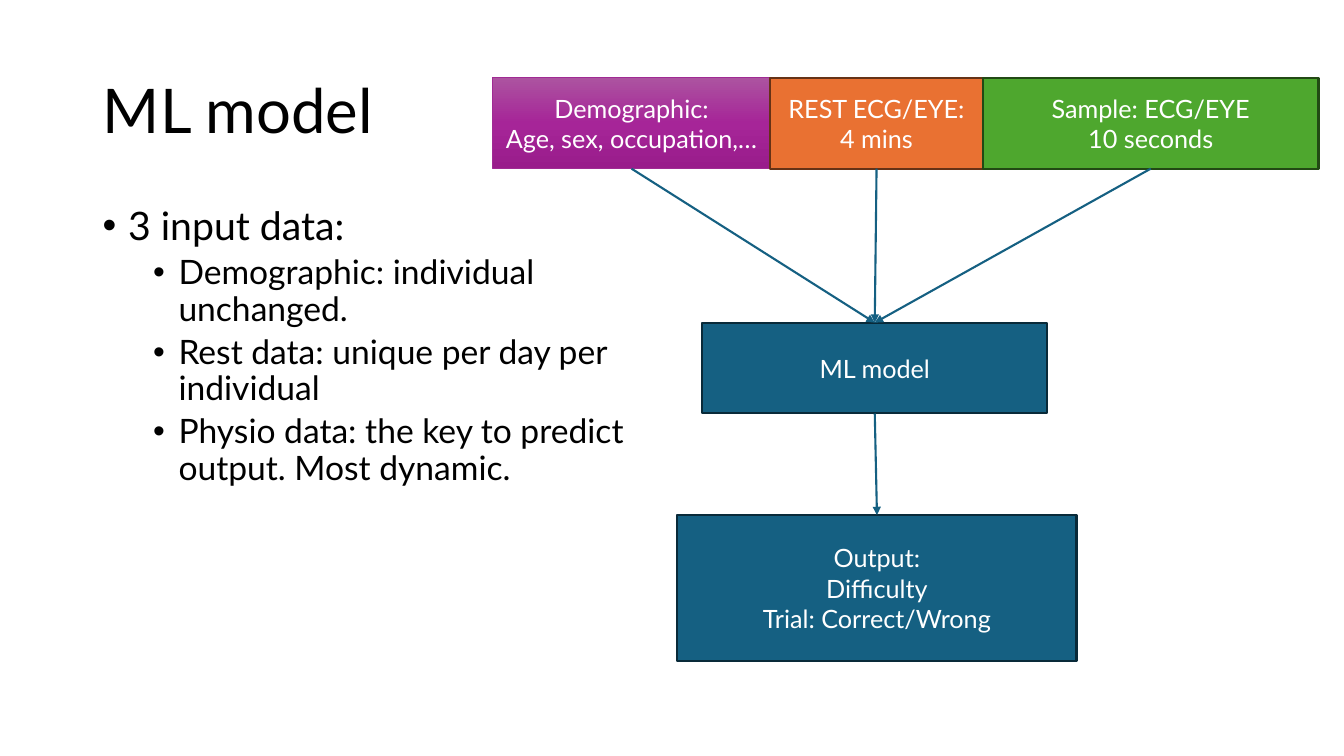
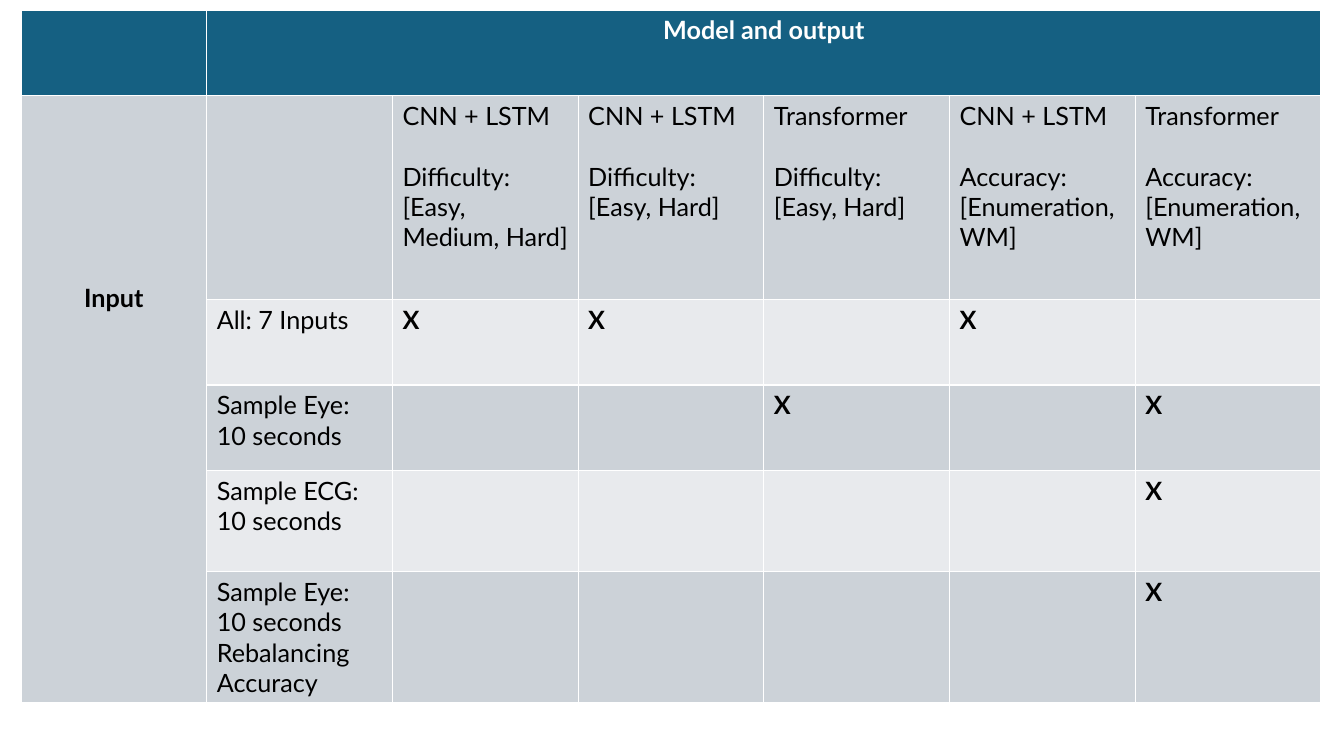
from copy import deepcopy

from lxml import etree
from pptx import Presentation
from pptx.dml.color import RGBColor
from pptx.enum import shapes, text
from pptx.oxml.ns import qn
from pptx.util import Cm, Pt

FONT = "Lato"
BLACK, WHITE = "000000", "FFFFFF"
BLUE, NAVY = "156082", "092A39"
BAND_DARK, BAND_LIGHT = "CCD2D8", "E8EAED"
LEFT, CENTER = text.PP_ALIGN.LEFT, text.PP_ALIGN.CENTER


def rgb(value):
    return RGBColor.from_string(value)


def write(frame, content, size, color, align=LEFT, bold=False):
    frame.word_wrap = True
    frame.text = content
    for para in frame.paragraphs:
        para.alignment = align
        para.font.name = FONT
        para.font.size = Pt(size)
        para.font.bold = bold
        para.font.color.rgb = rgb(color)


deck = Presentation()
deck.slide_width, deck.slide_height = Cm(33.87), Cm(19.05)

page = deck.slides.add_slide(deck.slide_layouts[5])
title = page.shapes.title
title.left, title.top, title.width, title.height = Cm(2.34), Cm(1.02), Cm(29.21), Cm(3.68)
write(title.text_frame, "ML model", 44, BLACK)
title.text_frame.vertical_anchor = text.MSO_ANCHOR.MIDDLE
title.text_frame.paragraphs[0].line_spacing = 0.9

notes = page.shapes.add_textbox(Cm(2.34), Cm(5.08), Cm(13.84), Cm(12.19))
bullets = [
    (0, "3 input data:"),
    (1, "Demographic: individual unchanged."),
    (1, "Rest data: unique per day per individual"),
    (1, "Physio data: the key to predict output. Most dynamic."),
]
write(notes.text_frame, "\n".join(line for level, line in bullets), 24, BLACK)
for para, (level, line) in zip(notes.text_frame.paragraphs, bullets):
    para.level = level
    para.font.size = Pt((28, 24)[level])
    para.line_spacing = 0.9
    para.space_before = Pt((10, 5)[level])
    props = para._p.get_or_add_pPr()
    props.set("marL", str(Cm((0.64, 1.91)[level])))
    props.set("indent", str(-Cm(0.64)))
    font_props = props.find(qn("a:defRPr"))
    for tag, name, value in (("a:buFont", "typeface", "Arial"), ("a:buChar", "char", "•")):
        bullet = etree.Element(qn(tag))
        bullet.set(name, value)
        font_props.addprevious(bullet)

top, height = 1.96, 2.29
box_specs = [
    ("Demographic:\nAge, sex, occupation,…", 12.42, top, 6.99, height, "A62598", "A02B93", 1),
    ("REST ECG/EYE:\n4 mins", 19.41, top, 5.36, height, "E97132", "663216", 1.5),
    ("Sample: ECG/EYE\n10 seconds", 24.77, top, 8.46, height, "4EA72E", "224914", 1.5),
    ("ML model", 17.7, 8.13, 8.69, height, BLUE, NAVY, 1.5),
    ("Output:\nDifficulty\nTrial: Correct/Wrong", 17.07, 12.98, 10.06, 3.68, BLUE, NAVY, 1.5),
]
boxes = []
for content, x, y, width, tall, fill, line, weight in box_specs:
    box = page.shapes.add_shape(
        shapes.MSO_SHAPE.RECTANGLE, Cm(x), Cm(y), Cm(width), Cm(tall))
    box.shadow.inherit = False
    box.fill.solid()
    box.fill.fore_color.rgb = rgb(fill)
    box.line.color.rgb = rgb(line)
    box.line.width = Pt(weight)
    write(box.text_frame, content, 18, WHITE, CENTER)
    box.text_frame.vertical_anchor = text.MSO_ANCHOR.MIDDLE
    boxes.append(box)
demographic, rest, sample, model, output = boxes

demographic.fill.gradient()
demographic.fill.gradient_angle = 270
stops = demographic._element.spPr.find(".//" + qn("a:gsLst"))
stops.insert(1, deepcopy(stops[0]))
shades = [(0, "AC53A0"), (0.5, "A62598"), (1, "991C8B")]
for stop, (position, shade) in zip(demographic.fill.gradient_stops, shades):
    stop.position = position
    stop.color.rgb = rgb(shade)

for source, target in ((rest, model), (demographic, model), (sample, model), (model, output)):
    arrow = page.shapes.add_connector(shapes.MSO_CONNECTOR.STRAIGHT, 0, 0, 0, 0)
    arrow.begin_connect(source, 2)
    arrow.end_connect(target, 0)
    arrow.line.color.rgb = rgb(BLUE)
    arrow.line.width = Pt(1.5)
    etree.SubElement(arrow.line._get_or_add_ln(), qn("a:tailEnd")).set("type", "triangle")
    etree.SubElement(arrow._element.spPr, qn("a:effectLst"))

page = deck.slides.add_slide(deck.slide_layouts[6])
rows = [
    ["", "Model and output", "", "", "", "", ""],
    ["Input", "",
     "CNN + LSTM\nDifficulty:\n[Easy, Medium, Hard]",
     "CNN + LSTM\nDifficulty:\n[Easy, Hard]",
     "Transformer\nDifficulty:\n[Easy, Hard]",
     "CNN + LSTM\nAccuracy:\n[Enumeration, WM]",
     "Transformer\nAccuracy:\n[Enumeration, WM]"],
    ["", "All: 7 Inputs", "X", "X", "", "X", ""],
    ["", "Sample Eye:\n10 seconds", "", "", "X", "", "X"],
    ["", "Sample ECG:\n10 seconds", "", "", "", "", "X"],
    ["", "Sample Eye:\n10 seconds\nRebalancing\nAccuracy", "", "", "", "", "X"],
]
row_heights = [2.16, 5.13, 2.16, 2.16, 2.55, 3.3]
column_width = 4.68
frame = page.shapes.add_table(
    len(rows), len(rows[0]), Cm(0.53), Cm(0.25),
    Cm(column_width * len(rows[0])), Cm(sum(row_heights)))
table = frame.table
table.horz_banding = False
for column in table.columns:
    column.width = Cm(column_width)
for row, row_height in zip(table.rows, row_heights):
    row.height = Cm(row_height)

for r, row in enumerate(rows):
    for c, content in enumerate(row):
        cell = table.cell(r, c)
        header = r == 0
        cell.fill.solid()
        cell.fill.fore_color.rgb = rgb(
            BLUE if header else BAND_DARK if c == 0 or r % 2 else BAND_LIGHT)
        write(cell.text_frame, content, 18, WHITE if header else BLACK,
              CENTER if header or c == 0 else LEFT,
              header or content in ("X", "Input"))
        if r == 1 and c > 1:
            cell.text_frame.paragraphs[1].space_before = Pt(21.6)
table.cell(0, 1).merge(table.cell(0, 6))
table.cell(1, 0).merge(table.cell(5, 0))
table.cell(1, 0).margin_top = Cm(4.7)

deck.save("out.pptx")
